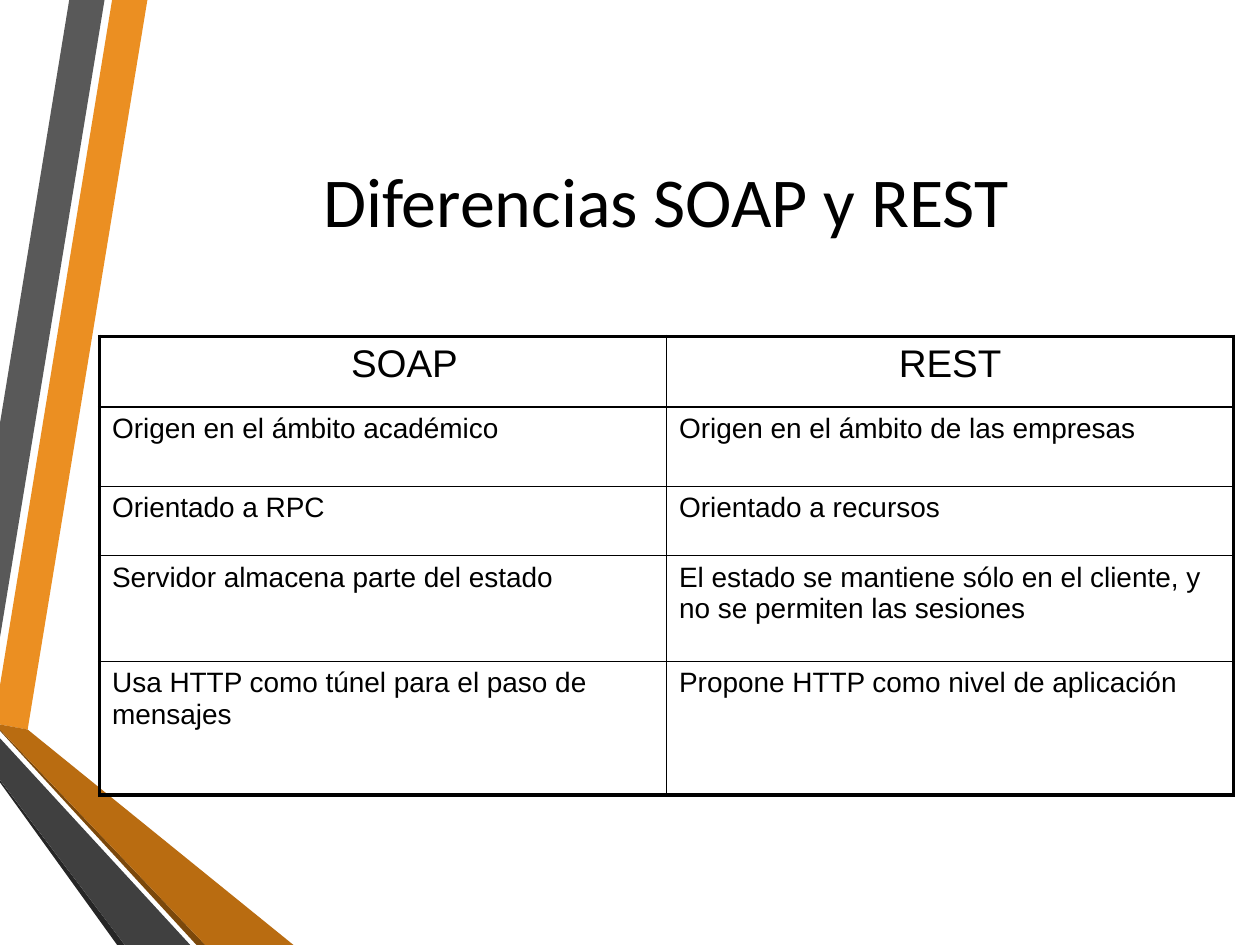
"""Build the slide that compares SOAP and REST in a table."""
from lxml import etree
from pptx import Presentation
from pptx.dml.color import RGBColor
from pptx.enum.text import MSO_ANCHOR, PP_ALIGN
from pptx.oxml.ns import qn
from pptx.util import Inches, Pt

LEFT, MID = PP_ALIGN.LEFT, PP_ALIGN.CENTER
TOP, CENTER = MSO_ANCHOR.TOP, MSO_ANCHOR.MIDDLE
WIDE, HIGH = 10, 7.5
THIN, THICK = 1, 2.25
COLORS = {
    "orange": "EB8F22", "gray": "595959", "black": "000000",
    "soot": "262626", "brown": "7B480B", "rust": "B96C11", "coal": "404040",
}


def write(frame, text, size=16, font="Arial", align=LEFT, color="black"):
    frame.word_wrap = True
    line = frame.paragraphs[0]
    line.alignment = align
    run = line.add_run()
    run.text = text
    run.font.size = Pt(size)
    run.font.name = font
    run.font.color.rgb = RGBColor.from_string(COLORS[color])


def edge(cell, side, width):
    line = etree.SubElement(cell._tc.get_or_add_tcPr(), qn(f"a:ln{side}"), w=str(Pt(width)))
    fill = etree.SubElement(line, qn("a:solidFill"))
    etree.SubElement(fill, qn("a:srgbClr"), val=COLORS["black"])


deck = Presentation()
deck.slide_width, deck.slide_height = Inches(WIDE), Inches(HIGH)
slide = deck.slides.add_slide(deck.slide_layouts[5])

bands = [
    ("orange", [(0, 5.44), (0, 5.75), (0.22, 5.79), (1.17, 0), (0.89, 0)]),
    ("gray", [(0.83, 0), (0.55, 0), (0, 3.36), (0, 5.06)]),
    ("soot", [(0, 6.19), (0, 6.21), (0.93, HIGH), (0.99, HIGH)]),
    ("brown", [(0, 5.79), (0, 5.8), (1.56, HIGH), (1.63, HIGH)]),
    ("rust", [(0, 5.79), (1.63, HIGH), (2.33, HIGH), (0.22, 5.79), (0, 5.75)]),
    ("coal", [(0, 6.19), (0.99, HIGH), (1.51, HIGH), (0, 5.86)]),
]
for color, points in bands:
    start, *rest = [(Inches(x), Inches(y)) for x, y in points]
    path = slide.shapes.build_freeform(*start)
    path.add_line_segments(rest, close=True)
    band = path.convert_to_shape()
    band.shadow.inherit = False
    band.fill.solid()
    band.fill.fore_color.rgb = RGBColor.from_string(COLORS[color])
    band.line.fill.background()

title = slide.shapes.title
title.left, title.top = Inches(1.07), Inches(0.5)
title.width, title.height = Inches(8.43), Inches(2.17)
title.text_frame.vertical_anchor = CENTER
write(title.text_frame, "Diferencias SOAP y REST", size=40, font="Calibri", align=MID)

rows = [
    ("SOAP", "REST"),
    ("Origen en el ámbito académico", "Origen en el ámbito de las empresas"),
    ("Orientado a RPC", "Orientado a recursos"),
    ("Servidor almacena parte del estado",
     "El estado se mantiene sólo en el cliente, y no se permiten las sesiones"),
    ("Usa HTTP como túnel para el paso de mensajes",
     "Propone HTTP como nivel de aplicación"),
]
heights = [0.56, 0.63, 0.55, 0.84, 1.06]
width = 0.9 * WIDE
table = slide.shapes.add_table(
    len(rows), 2, Inches(0.79), Inches(2.67), Inches(width), Inches(sum(heights))
).table
table.first_row = table.horz_banding = False
for column in table.columns:
    column.width = Inches(width / 2)

last = len(rows) - 1
for r, (texts, height) in enumerate(zip(rows, heights)):
    table.rows[r].height = Inches(height)
    for c, text in enumerate(texts):
        cell = table.cell(r, c)
        outer = {"L": c == 0, "R": c == 1, "T": r == 0, "B": r == last}
        for side, rim in outer.items():
            edge(cell, side, THICK if rim else THIN)
        cell.fill.background()
        cell.vertical_anchor = TOP
        head = {"size": 22, "align": MID} if r == 0 else {}
        write(cell.text_frame, text, **head)
table.cell(0, 0).margin_left = Inches(0.44)

deck.save("out.pptx")
